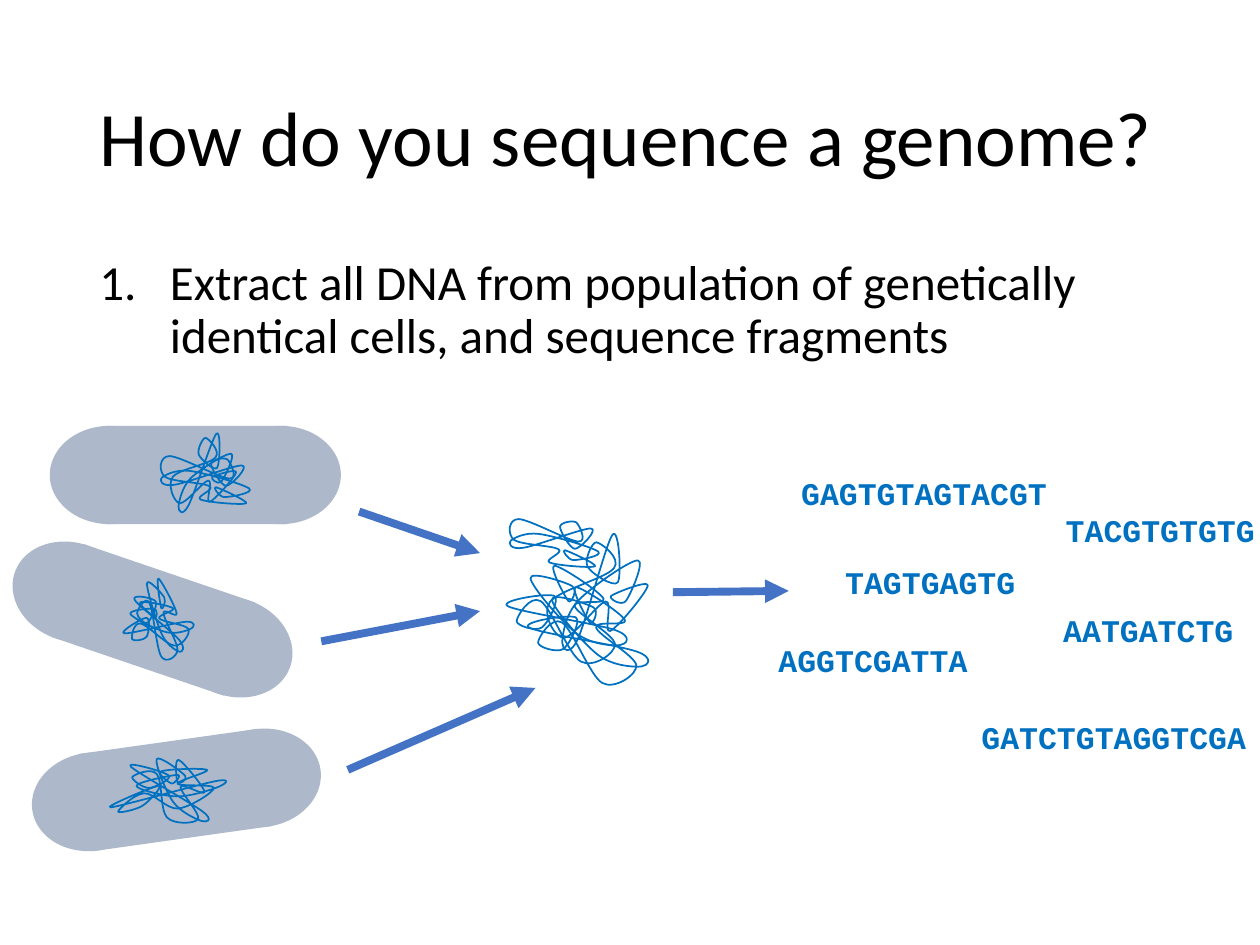
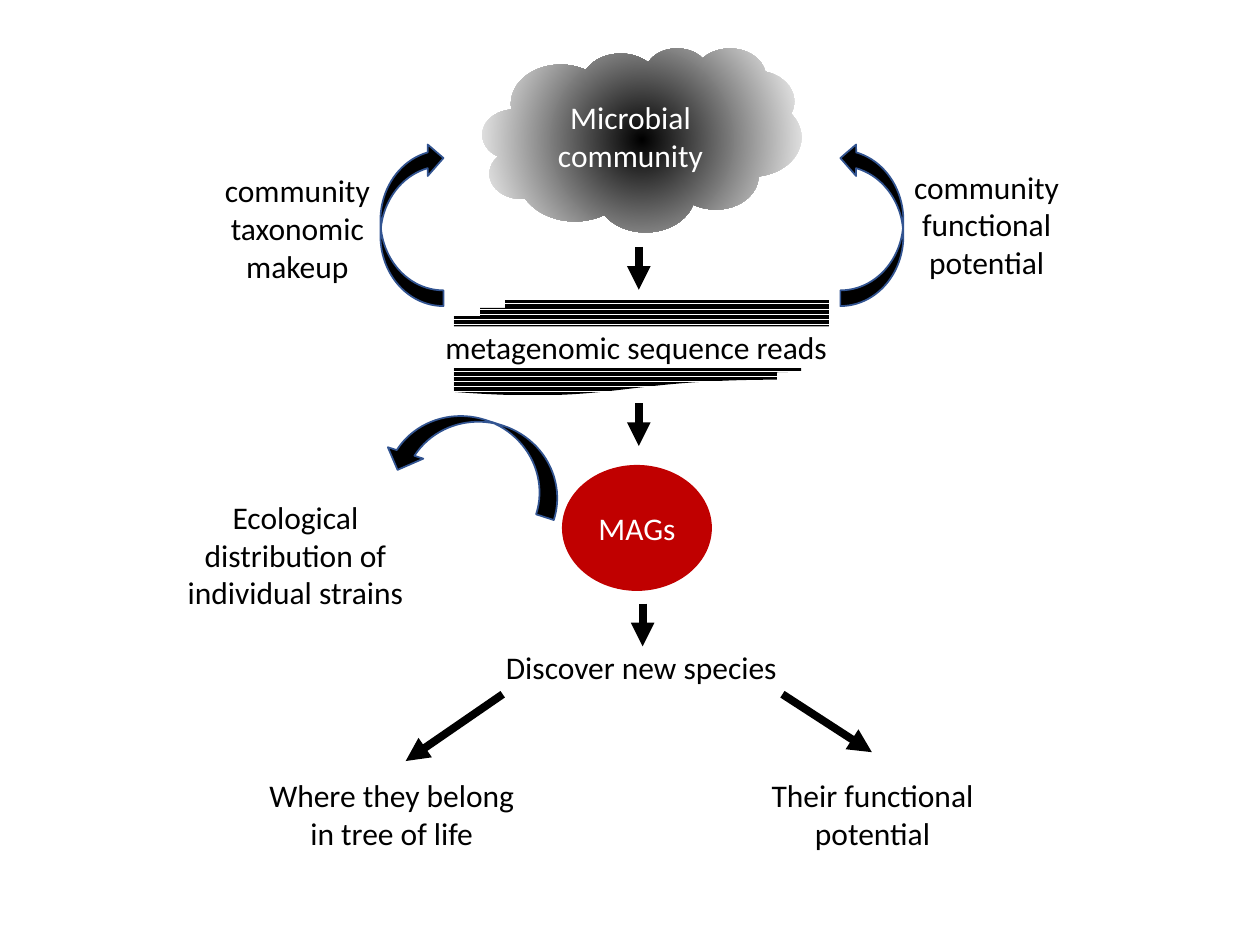
from dataclasses import dataclass
from math import cos, radians, sin

from lxml import etree
from pptx import Presentation
from pptx.dml.color import RGBColor
from pptx.enum.dml import MSO_PATTERN
from pptx.enum.shapes import MSO_CONNECTOR, MSO_SHAPE
from pptx.enum.text import MSO_ANCHOR, PP_ALIGN
from pptx.oxml import parse_xml
from pptx.oxml.ns import nsdecls, qn
from pptx.util import Inches, Pt


@dataclass(frozen=True)
class Theme:
    black: str = "000000"
    white: str = "FFFFFF"
    cell: str = "ADB9CA"
    dna: str = "0070C0"
    arrow: str = "4472C4"
    arrow_edge: str = "325491"
    genome: str = "C00000"
    font: str = "Calibri"
    mono: str = "Courier New"
    title_size: int = 44
    body_size: int = 28
    label_size: int = 18
    arrow_width: float = 4.5
    thin_line: float = 1


THEME = Theme()

# Slide 1
TITLE = "How do you sequence a genome?"
STEP = "Extract all DNA from population of genetically identical cells, and sequence fragments"

# Each cell: centre x, centre y, rotation, then its two DNA tangles (box, rotation)
CELLS = [
    (1.56, 3.77, 0, [((1.31, 3.48, 0.6, 0.53), 265.1), ((1.42, 3.41, 0.45, 0.75), 301.3)]),
    (1.22, 4.92, 18.8, [((1, 4.74, 0.48, 0.46), 141.4), ((1.07, 4.59, 0.37, 0.65), 177.6)]),
    (1.39, 6.27, 172, [((0.86, 6.12, 0.92, 0.34), 154.4), ((1, 6.02, 0.69, 0.49), 190.6)]),
]
BODY_SIZE = (1.44, 0.78)
CAP_SIZE = (0.95, 0.78)
CAP_OFFSETS = (0.67, -0.69)

POOLED_DNA = [
    ((4.19, 3.91, 0.45, 0.75), 301.3),
    ((4.06, 4.48, 0.84, 0.83), 163.9),
    ((4.31, 4.27, 0.84, 0.83), 259.7),
    ((4.23, 4.65, 0.84, 0.83), 163.9),
]
# Points of the closed DNA curve, in thousandths of its box
TANGLE_GRID = 1000
TANGLE = [
    (77, 245), (987, 749), (537, 718), (734, 462),
    (946, 586), (676, 708), (469, 46), (113, 118),
    (380, 572), (98, 564), (458, 996), (424, 635),
    (351, 764), (708, 943), (430, 310), (71, 93),
]

EXTRACTION_ARROWS = [
    ((2.55, 5.09), (3.81, 4.85)),
    ((2.76, 6.11), (4.25, 5.46)),
    ((2.85, 4.06), (3.81, 4.39)),
    ((5.34, 4.7), (6.26, 4.69)),
]
# Each fragment box: place, then its lines as (indent, text)
FRAGMENTS = [
    ((6.26, 3.71, 3.82, 0.71), [(0, "GAGTGTAGTACGT"), (2.1, "TACGTGTGTG")]),
    ((7.69, 5.65, 2.31, 0.4), [(0, "GATCTGTAGGTCGA")]),
    ((6.61, 4.42, 1.56, 0.4), [(0, "TAGTGAGTG")]),
    ((6.08, 5.04, 1.86, 0.4), [(0, "AGGTCGATTA")]),
    ((8.34, 4.8, 1.56, 0.4), [(0, "AATGATCTG")]),
]

# Slide 2
CLOUD = ((3.83, 0.38, 2.53, 1.46), "Microbial community")
READS_STACK = (3.6, 2.38, 2.98, 0.76)
READS = ((3.43, 2.59, 3.24, 0.33), "metagenomic sequence reads")
GENOMES = ((4.46, 3.69, 1.19, 1), "MAGs")
FINDINGS = [
    ((3.6, 4.91, 2.98, 0.76), "Discover new species"),
    ((1.45, 1.29, 1.82, 1.04), "community taxonomic makeup"),
    ((6.92, 1.29, 1.82, 0.98), "community functional potential"),
    ((1.25, 3.91, 2.19, 0.98), "Ecological distribution of individual strains"),
    ((5.83, 5.97, 2.19, 0.98), "Their functional potential"),
    ((1.93, 5.97, 2.36, 0.98), "Where they belong in tree of life"),
]
# Each curved arrow: box, rotation, flipped sideways
CURVED_ARROWS = [
    ((6.67, 1.13, 0.5, 1.3), 0, False),
    ((3.02, 1.13, 0.5, 1.3), 0, True),
    ((3.5, 2.9, 0.59, 1.45), 287.8, False),
]
FLOW_ARROWS = [
    ((5.07, 1.96), (5.07, 2.3)),
    ((5.07, 3.2), (5.07, 3.54)),
    ((5.1, 4.79), (5.1, 5.13)),
    ((6.21, 5.51), (6.92, 5.97)),
    ((3.99, 5.51), (3.22, 6.04)),
]


def rgb(color):
    return RGBColor.from_string(color)


def inches(values):
    return [Inches(value) for value in values]


def add_run(paragraph, text, size, color=THEME.black, font=THEME.font, bold=False):
    run = paragraph.add_run()
    run.text = text
    run.font.size, run.font.name, run.font.bold = Pt(size), font, bold
    run.font.color.rgb = rgb(color)


def write_label(shape, text, color=THEME.black):
    frame = shape.text_frame
    frame.word_wrap = True
    frame.vertical_anchor = MSO_ANCHOR.MIDDLE
    paragraph = frame.paragraphs[0]
    paragraph.alignment = PP_ALIGN.CENTER
    add_run(paragraph, text, THEME.label_size, color)


def style_outline(shape, color):
    shape.line.color.rgb = rgb(color)
    shape.line.width = Pt(THEME.thin_line)


def add_shape(slide, kind, box, fill=None, rotation=0):
    """Add a preset shape without line or shadow."""
    shape = slide.shapes.add_shape(kind, *inches(box))
    shape.shadow.inherit = False
    shape.line.fill.background()
    shape.rotation = rotation
    if fill:
        shape.fill.solid()
        shape.fill.fore_color.rgb = rgb(fill)
    return shape


def add_arrow(slide, start, end, color):
    arrow = slide.shapes.add_connector(MSO_CONNECTOR.STRAIGHT, *inches(start + end))
    arrow.line.color.rgb = rgb(color)
    arrow.line.width = Pt(THEME.arrow_width)
    etree.SubElement(arrow.line._get_or_add_ln(), qn("a:tailEnd"), type="triangle")
    etree.SubElement(arrow.element.spPr, qn("a:effectLst"))


def smooth_loop(points):
    """Return the two handles and the end of each curve in a smooth closed loop."""
    count = len(points)
    curves = []
    for index in range(count):
        before, start, end, after = (points[(index + k) % count] for k in (-1, 0, 1, 2))
        leave = tuple(b + (c - a) / 6 for a, b, c in zip(before, start, end))
        arrive = tuple(c - (d - b) / 6 for b, c, d in zip(start, end, after))
        curves.append((leave, arrive, end))
    return curves


def add_point(parent, point):
    x, y = point
    etree.SubElement(parent, qn("a:pt"), x=str(round(x)), y=str(round(y)))


def curve_outline(shape, points):
    """Replace the straight outline of a freeform by a smooth loop."""
    outline = shape.element.spPr.find(".//" + qn("a:path"))
    for child in list(outline):
        outline.remove(child)
    outline.set("w", str(TANGLE_GRID))
    outline.set("h", str(TANGLE_GRID))
    add_point(etree.SubElement(outline, qn("a:moveTo")), points[0])
    for curve in smooth_loop(points):
        bezier = etree.SubElement(outline, qn("a:cubicBezTo"))
        for point in curve:
            add_point(bezier, point)
    etree.SubElement(outline, qn("a:close"))


def add_tangle(slide, box, rotation):
    builder = slide.shapes.build_freeform(*TANGLE[0])
    builder.add_line_segments(TANGLE[1:], close=True)
    tangle = builder.convert_to_shape()
    curve_outline(tangle, TANGLE)
    tangle.left, tangle.top, tangle.width, tangle.height = inches(box)
    tangle.rotation = rotation
    tangle.shadow.inherit = False
    tangle.fill.background()
    style_outline(tangle, THEME.dna)


def add_cell(slide, x, y, rotation, tangles):
    def add_part(kind, offset, size):
        width, height = size
        center_x = x + offset * cos(radians(rotation))
        center_y = y + offset * sin(radians(rotation))
        box = (center_x - width / 2, center_y - height / 2, width, height)
        add_shape(slide, kind, box, THEME.cell, rotation)

    add_part(MSO_SHAPE.RECTANGLE, 0, BODY_SIZE)
    for offset in CAP_OFFSETS:
        add_part(MSO_SHAPE.OVAL, offset, CAP_SIZE)
    for tangle in tangles:
        add_tangle(slide, *tangle)


def add_fragment(slide, box, lines):
    frame = slide.shapes.add_textbox(*inches(box)).text_frame
    frame.word_wrap = False
    for number, (indent, text) in enumerate(lines):
        paragraph = frame.add_paragraph() if number else frame.paragraphs[0]
        if indent:
            paragraph._p.get_or_add_pPr().set("marL", str(Inches(indent)))
        add_run(paragraph, text, THEME.label_size, THEME.dna, THEME.mono, True)


def add_curved_arrow(slide, box, rotation, flip_sideways):
    arrow = add_shape(slide, MSO_SHAPE.CURVED_LEFT_ARROW, box, THEME.black, rotation)
    style_outline(arrow, THEME.arrow_edge)
    frame = arrow.element.spPr.find(qn("a:xfrm"))
    frame.set("flipV", "1")
    if flip_sideways:
        frame.set("flipH", "1")


def fill_radial(shape, center, edge):
    gradient = parse_xml(
        f'<a:gradFill {nsdecls("a")} rotWithShape="1"><a:gsLst>'
        f'<a:gs pos="0"><a:srgbClr val="{center}"/></a:gs>'
        f'<a:gs pos="100000"><a:srgbClr val="{edge}"/></a:gs></a:gsLst>'
        '<a:path path="circle"><a:fillToRect l="50000" t="50000" r="50000" b="50000"/>'
        "</a:path></a:gradFill>"
    )
    shape.element.spPr.find(qn("a:prstGeom")).addnext(gradient)


def build_sequencing_slide(presentation):
    slide = presentation.slides.add_slide(presentation.slide_layouts[5])
    title = slide.shapes.title
    title.left, title.top, title.width, title.height = inches((0.69, 0.4, 8.62, 1.45))
    title.text_frame.vertical_anchor = MSO_ANCHOR.MIDDLE
    heading = title.text_frame.paragraphs[0]
    heading.alignment, heading.line_spacing = PP_ALIGN.LEFT, 0.9
    add_run(heading, TITLE, THEME.title_size)

    body = slide.shapes.add_textbox(*inches((0.69, 2, 8.62, 4.76)))
    body.text_frame.word_wrap = True
    step = body.text_frame.paragraphs[0]
    step.line_spacing, step.space_before = 0.9, Pt(10)
    properties = step._p.get_or_add_pPr()
    properties.set("marL", str(Inches(0.56)))
    properties.set("indent", str(-Inches(0.56)))
    etree.SubElement(properties, qn("a:buAutoNum"), type="arabicPeriod")
    add_run(step, STEP, THEME.body_size)

    for cell in CELLS:
        add_cell(slide, *cell)
    for tangle in POOLED_DNA:
        add_tangle(slide, *tangle)
    for start, end in EXTRACTION_ARROWS:
        add_arrow(slide, start, end, THEME.arrow)
    for fragment in FRAGMENTS:
        add_fragment(slide, *fragment)


def build_metagenome_slide(presentation):
    slide = presentation.slides.add_slide(presentation.slide_layouts[6])
    box, text = CLOUD
    cloud = add_shape(slide, MSO_SHAPE.CLOUD, box)
    fill_radial(cloud, THEME.black, THEME.white)
    write_label(cloud, text, THEME.white)

    stack = add_shape(slide, MSO_SHAPE.FLOWCHART_MULTIDOCUMENT, READS_STACK)
    stack.fill.patterned()
    stack.fill.pattern = MSO_PATTERN.DARK_HORIZONTAL
    stack.fill.fore_color.rgb = rgb(THEME.black)
    stack.fill.back_color.rgb = rgb(THEME.white)

    for box, text in FINDINGS:
        write_label(slide.shapes.add_textbox(*inches(box)), text)
    for kind, (box, text), fill, color in (
        (MSO_SHAPE.OVAL, GENOMES, THEME.genome, THEME.white),
        (MSO_SHAPE.RECTANGLE, READS, THEME.white, THEME.black),
    ):
        write_label(add_shape(slide, kind, box, fill), text, color)
    for curved_arrow in CURVED_ARROWS:
        add_curved_arrow(slide, *curved_arrow)
    for start, end in FLOW_ARROWS:
        add_arrow(slide, start, end, THEME.black)


def main():
    presentation = Presentation()
    presentation.slide_width, presentation.slide_height = Inches(10), Inches(7.5)
    build_sequencing_slide(presentation)
    build_metagenome_slide(presentation)
    presentation.save("out.pptx")


if __name__ == "__main__":
    main()
